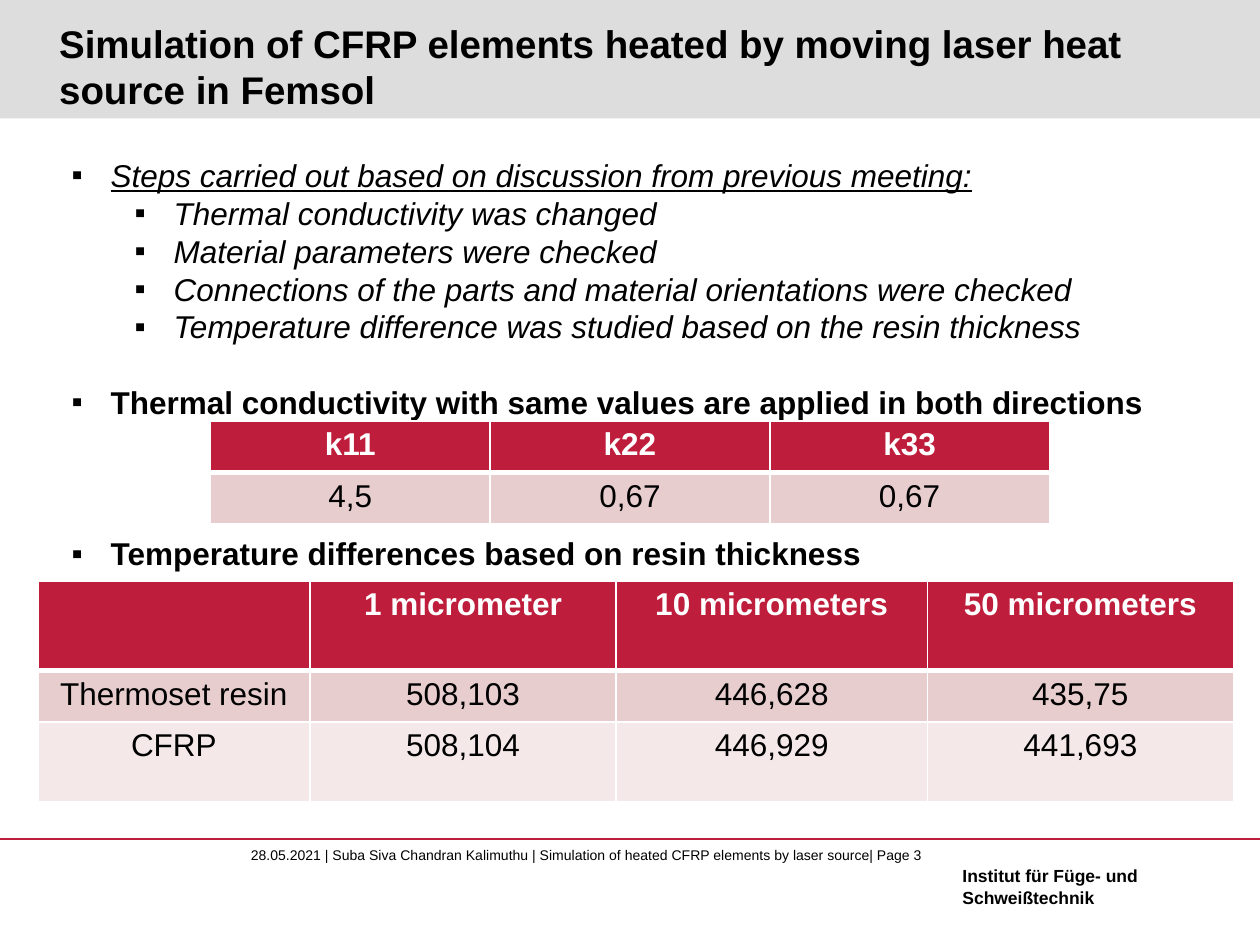
from lxml import etree
from pptx import Presentation
from pptx.dml.color import RGBColor
from pptx.enum import shapes, text
from pptx.oxml.ns import qn
from pptx.util import Inches, Pt

RED, PINK, PALE, GREY = "BE1E3C", "E8CDCE", "F4E8E8", "DDDDDD"
WHITE, BLACK = "FFFFFF", "000000"

STEPS = [
    "Thermal conductivity was changed",
    "Material parameters were checked",
    "Connections of the parts and material orientations were checked",
    "Temperature difference was studied based on the resin thickness",
]
CONDUCTIVITY = [["k11", "k22", "k33"], ["4,5", "0,67", "0,67"]]
TEMPERATURES = [
    ["", "1 micrometer", "10 micrometers", "50 micrometers"],
    ["Thermoset resin", "508,103", "446,628", "435,75"],
    ["CFRP", "508,104", "446,929", "441,693"],
]


def color(value):
    return RGBColor.from_string(value)


def style(font, size, ink=BLACK, bold=False, italic=False, underline=False):
    font.name = "Arial"
    font.size = Pt(size)
    font.color.rgb = color(ink)
    font.bold, font.italic, font.underline = bold, italic, underline


def add_frame(slide, left, top, width, height, inset=True, wrap=True):
    box = slide.shapes.add_textbox(Inches(left), Inches(top), Inches(width), Inches(height))
    frame = box.text_frame
    frame.word_wrap = wrap
    if not inset:
        frame.margin_left = frame.margin_right = 0
        frame.margin_top = frame.margin_bottom = 0
    return frame


def write_lines(frame, lines, size, bold=False):
    frame.text = "\n".join(lines)
    for paragraph in frame.paragraphs:
        style(paragraph.runs[0].font, size, bold=bold)


def add_band(slide):
    band = slide.shapes.add_shape(shapes.MSO_SHAPE.RECTANGLE, 0, 0, Inches(10), Inches(0.94))
    band.shadow.inherit = False
    band.fill.solid()
    band.fill.fore_color.rgb = color(GREY)
    band.line.fill.background()


def add_rule(slide, top):
    rule = slide.shapes.add_connector(
        shapes.MSO_CONNECTOR.STRAIGHT, 0, Inches(top), Inches(10), Inches(top))
    rule.line.color.rgb = color(RED)
    rule.line.width = Pt(0.75)
    etree.SubElement(rule.element.spPr, qn("a:effectLst"))


def add_bullet(frame, wording, level=0, gap=0, **look):
    first = frame.paragraphs[0]
    paragraph = frame.add_paragraph() if first.runs else first
    paragraph.text = wording
    paragraph.level = level
    paragraph.space_before = Pt(gap)
    style(paragraph.runs[0].font, 18, **look)
    properties = paragraph._p.get_or_add_pPr()
    properties.set("marL", str(Inches(0.31 + 0.5 * level)))
    properties.set("indent", str(Inches(-0.31)))
    etree.SubElement(properties, qn("a:buFont"), typeface="Arial")
    etree.SubElement(properties, qn("a:buChar"), char="▪")


def add_bullets(slide):
    frame = add_frame(slide, 0.47, 1.19, 9.35, 3.74)
    add_bullet(frame, "Steps carried out based on discussion from previous meeting:",
               italic=True, underline=True)
    for step in STEPS:
        add_bullet(frame, step, level=1, italic=True)
    add_bullet(frame, "Thermal conductivity with same values are applied in both directions",
               gap=21.5, bold=True)
    add_bullet(frame, "Temperature differences based on resin thickness", gap=65, bold=True)


def set_borders(cell, top, bottom):
    properties = cell._tc.get_or_add_tcPr()
    for side, width in (("L", 1), ("R", 1), ("T", top), ("B", bottom)):
        border = etree.SubElement(properties, qn(f"a:ln{side}"), w=str(Pt(width)))
        fill = etree.SubElement(border, qn("a:solidFill"))
        etree.SubElement(fill, qn("a:srgbClr"), val=WHITE)


def add_grid(slide, left, top, widths, heights, values):
    grid = slide.shapes.add_table(
        len(heights), len(widths), Inches(left), Inches(top),
        Inches(sum(widths)), Inches(sum(heights))).table
    for column, width in zip(grid.columns, widths):
        column.width = Inches(width)
    for row, height in zip(grid.rows, heights):
        row.height = Inches(height)
    for r, row_values in enumerate(values):
        for c, value in enumerate(row_values):
            cell = grid.cell(r, c)
            set_borders(cell, 3 if r == 1 else 1, 3 if r == 0 else 1)
            cell.fill.solid()
            cell.fill.fore_color.rgb = color((RED, PINK, PALE)[r])
            cell.text = value
            paragraph = cell.text_frame.paragraphs[0]
            paragraph.alignment = text.PP_ALIGN.CENTER
            for run in paragraph.runs:
                style(run.font, 18, WHITE if r == 0 else BLACK, bold=r == 0)


def add_footer(slide):
    add_rule(slide, 6.66)
    write_lines(
        add_frame(slide, 1.99, 6.72, 5.48, 0.27, inset=False, wrap=False),
        ["28.05.2021 | Suba Siva Chandran Kalimuthu | "
         "Simulation of heated CFRP elements by laser source| Page 3"], 8)
    write_lines(add_frame(slide, 7.54, 6.82, 1.61, 0.44, wrap=False),
                ["Institut für Füge- und", "Schweißtechnik"], 10, bold=True)


def main():
    deck = Presentation()
    deck.slide_width, deck.slide_height = Inches(10), Inches(7.5)
    slide = deck.slides.add_slide(deck.slide_layouts[6])
    add_band(slide)
    add_footer(slide)
    title = add_frame(slide, 0.47, 0.12, 9.16, 0.77, inset=False)
    title.vertical_anchor = text.MSO_ANCHOR.BOTTOM
    write_lines(title, ["Simulation of CFRP elements heated by moving laser heat source in Femsol"],
                22, bold=True)
    add_bullets(slide)
    add_grid(slide, 0.3, 4.61, [2.16, 2.43, 2.47, 2.43], [0.71, 0.41, 0.63], TEMPERATURES)
    add_grid(slide, 1.67, 3.34, [2.22] * 3, [0.41] * 2, CONDUCTIVITY)
    deck.save("out.pptx")


if __name__ == "__main__":
    main()
